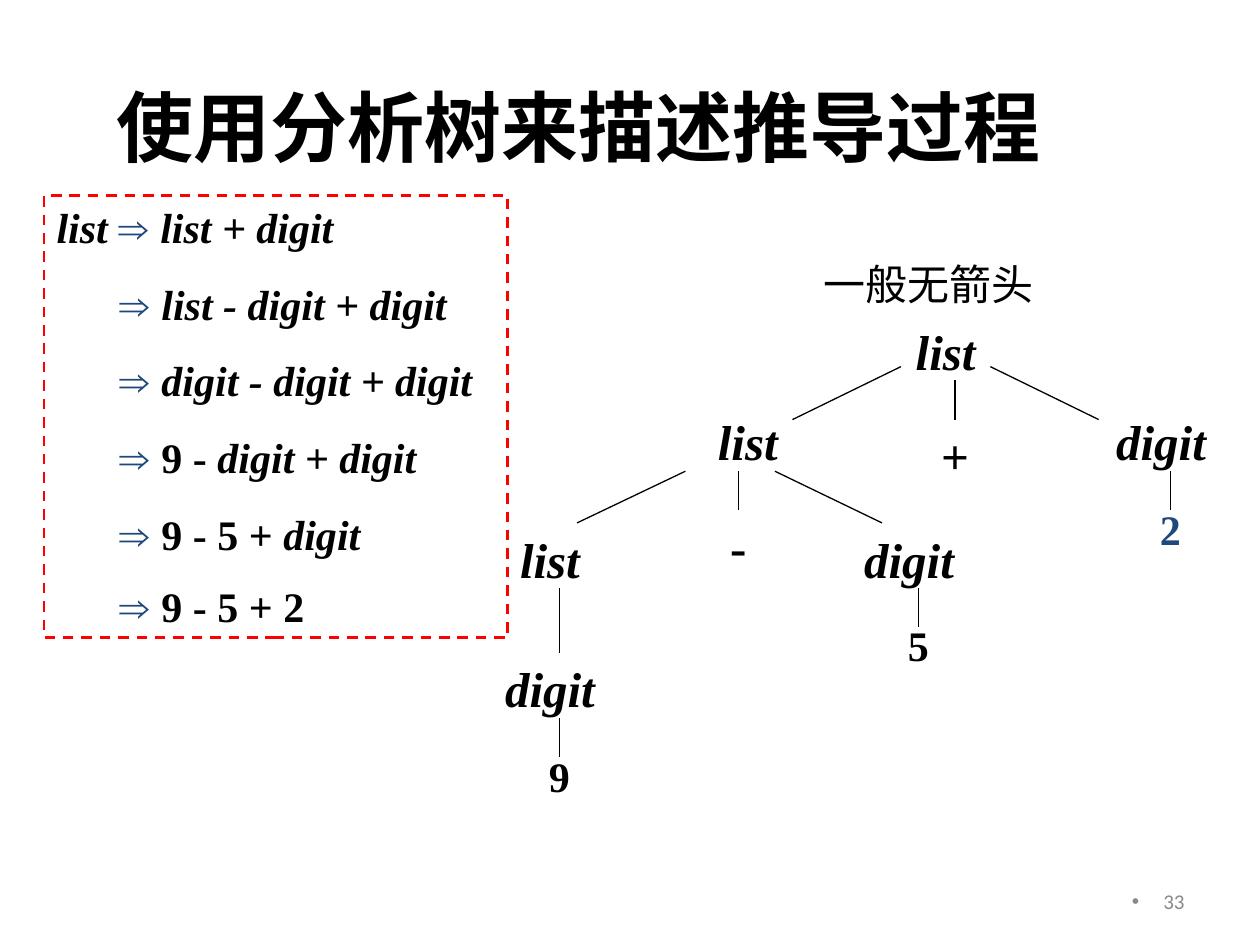
from lxml.etree import SubElement
from pptx import Presentation
from pptx.dml.color import RGBColor
from pptx.enum.dml import MSO_LINE
from pptx.enum.shapes import MSO_CONNECTOR, MSO_SHAPE
from pptx.enum.text import MSO_ANCHOR, PP_ALIGN
from pptx.oxml.ns import qn
from pptx.util import Inches, Pt

BLACK = RGBColor(0x00, 0x00, 0x00)
BLUE = RGBColor(0x1F, 0x49, 0x7D)
RED = RGBColor(0xFF, 0x00, 0x00)
GRAY = RGBColor(0x89, 0x89, 0x89)
SERIF = "Times New Roman"

SYMBOLS = [
    ("list", 6.72, 2.5),
    ("digit", 8.43, 3.22),
    ("digit", 6.43, 4.15),
    ("list", 5.15, 3.22),
    ("digit", 3.58, 5.18),
    ("list", 3.58, 4.15),
]
DIGITS = [("9", 4.01, 5.91, BLACK), ("5", 6.86, 4.87, BLACK), ("2", 8.86, 3.95, BLUE)]
OPERATORS = [("-", 5.43, 4.05, 3.74), ("+", 7.15, 3.33, 3.02)]
BRANCHES = [
    (7.15, 2.91, 6.29, 3.33),
    (7.86, 2.91, 8.72, 3.33),
    (5.44, 3.74, 4.58, 4.15),
    (6.15, 3.74, 7, 4.15),
    (4.44, 5.7, 4.44, 6.01),
    (7.29, 4.67, 7.29, 4.98),
    (9.29, 3.74, 9.29, 4.05),
    (4.44, 4.67, 4.44, 5.18),
]
STEPS = [
    [("list + digit", True)],
    [("list - digit + digit", True)],
    [("digit - digit + digit", True)],
    [("9 - ", False), ("digit + digit", True)],
    [("9 - 5 + ", False), ("digit", True)],
    [("9 - 5 + 2", False)],
]


def style_font(font, size, color, name=SERIF, bold=False, italic=False):
    """Set the face, size, colour and weight of a font."""
    font.name = name
    font.size = Pt(size)
    font.color.rgb = color
    font.bold = bold
    font.italic = italic


def add_label(page, text, left, top, width, height, size, color=BLACK,
              align=PP_ALIGN.LEFT, anchor=MSO_ANCHOR.TOP, **style):
    """Add a one-line text box."""
    box = page.shapes.add_textbox(Inches(left), Inches(top), Inches(width), Inches(height))
    frame = box.text_frame
    frame.word_wrap = True
    frame.vertical_anchor = anchor
    frame.text = text
    paragraph = frame.paragraphs[0]
    paragraph.alignment = align
    style_font(paragraph.runs[0].font, size, color, **style)
    return box


def add_branch(page, left, top, right, bottom):
    """Add a thin black line of the tree."""
    branch = page.shapes.add_connector(
        MSO_CONNECTOR.STRAIGHT, Inches(left), Inches(top), Inches(right), Inches(bottom))
    branch.line.color.rgb = BLACK
    branch.line.width = Pt(0.75)
    SubElement(branch._element.spPr, qn("a:effectLst"))
    return branch


def add_tree(page):
    """Add the nodes and branches of the parse tree."""
    for text, left, top in SYMBOLS:
        add_label(page, text, left, top, 1.57, 0.57, 28,
                  align=PP_ALIGN.CENTER, bold=True, italic=True)
    for text, left, top, color in DIGITS:
        add_label(page, text, left, top, 0.86, 0.5, 24, color,
                  align=PP_ALIGN.CENTER, bold=True)
    for text, left, top, start in OPERATORS:
        box = add_label(page, text, left, top, 0.86, 0.57, 28,
                        align=PP_ALIGN.CENTER, bold=True)
        middle = left + 0.43
        add_branch(page, middle, start, middle, top).end_connect(box, 0)
    for ends in BRANCHES:
        add_branch(page, *ends)


def add_span(paragraph, text, color=BLACK, name=SERIF, italic=False):
    """Add a bold run to a derivation step."""
    span = paragraph.add_run()
    span.text = text
    style_font(span.font, 24, color, name, True, italic)


def add_derivation(page):
    """Add the dashed frame with the derivation steps."""
    box = page.shapes.add_shape(
        MSO_SHAPE.RECTANGLE, Inches(0.35), Inches(1.55), Inches(3.68), Inches(3.51))
    box.shadow.inherit = False
    box.fill.background()
    box.line.color.rgb = RED
    box.line.width = Pt(1.5)
    box.line.dash_style = MSO_LINE.DASH
    frame = box.text_frame
    frame.word_wrap = True
    frame.vertical_anchor = MSO_ANCHOR.TOP
    for index, step in enumerate(STEPS):
        paragraph = frame.add_paragraph() if index else frame.paragraphs[0]
        paragraph.alignment = PP_ALIGN.LEFT
        if index:
            paragraph.space_before = Pt(12.5 if index == len(STEPS) - 1 else 15)
            paragraph._p.get_or_add_pPr().set("marL", str(Inches(0.5)))
        else:
            add_span(paragraph, "list ", italic=True)
        add_span(paragraph, "⇒ ", BLUE, "Arial")
        for text, italic in step:
            add_span(paragraph, text, italic=italic)


def add_page_number(page):
    """Add the bulleted page number."""
    box = add_label(page, "33", 7.17, 6.95, 2.33, 0.4, 12, GRAY,
                    PP_ALIGN.RIGHT, MSO_ANCHOR.MIDDLE, name="Calibri")
    properties = box.text_frame.paragraphs[0]._p.get_or_add_pPr()
    properties.set("marL", str(Inches(0.25)))
    properties.set("indent", str(-Inches(0.25)))
    color = SubElement(properties, qn("a:buClr"))
    SubElement(color, qn("a:srgbClr"), val=str(GRAY))
    SubElement(properties, qn("a:buFont"), typeface="Arial")
    SubElement(properties, qn("a:buChar"), char="•")


def main():
    """Build the slide and save it."""
    deck = Presentation()
    deck.slide_width = Inches(10)
    deck.slide_height = Inches(7.5)
    page = deck.slides.add_slide(deck.slide_layouts[6])
    add_label(page, "使用分析树来描述推导过程", 0.83, 0.58, 9.01, 0.83, 44,
              anchor=MSO_ANCHOR.MIDDLE, bold=True)
    add_tree(page)
    add_derivation(page)
    add_page_number(page)
    add_label(page, "一般无箭头", 6.44, 2, 2.27, 0.5, 24, name="Arial")
    deck.save("out.pptx")


if __name__ == "__main__":
    main()
